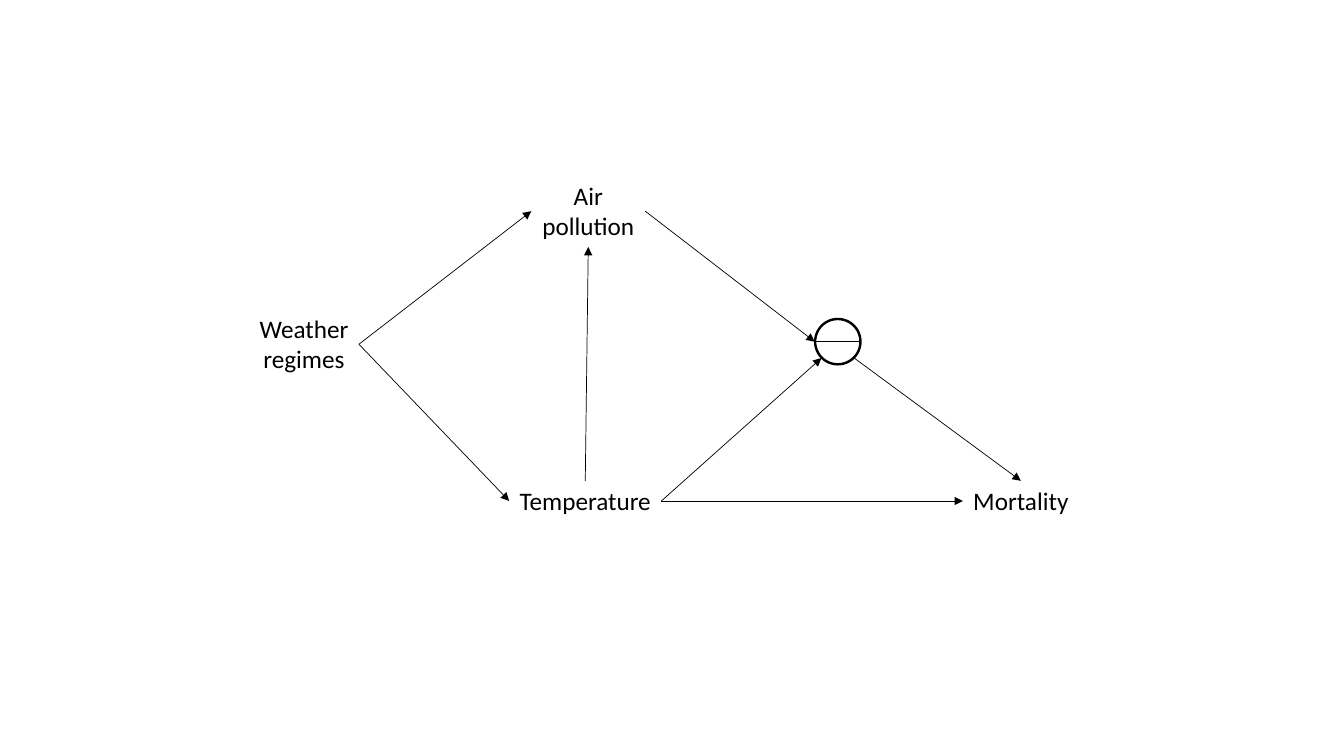
from dataclasses import dataclass
from math import sqrt

from lxml.etree import SubElement
from pptx import Presentation
from pptx.dml.color import RGBColor
from pptx.enum.shapes import MSO_CONNECTOR, MSO_SHAPE
from pptx.enum.text import MSO_ANCHOR, MSO_AUTO_SIZE, PP_ALIGN
from pptx.oxml.ns import qn
from pptx.slide import Slide
from pptx.util import Inches, Pt

COLOURS = {"ink": "000000"}
INK = RGBColor.from_string(COLOURS["ink"])
Point = tuple[float, float]


@dataclass(frozen=True)
class Node:
    """A place in the diagram, in inches, with the points arrows attach to."""

    left: float
    top: float
    width: float
    height: float
    text: str = ""

    def at(self, across: float, down: float) -> Point:
        """Give the point at these fractions of the width and height."""
        return self.left + across * self.width, self.top + down * self.height

    @property
    def box(self) -> tuple[Inches, ...]:
        """Give left, top, width and height as lengths."""
        return tuple(map(Inches, (self.left, self.top, self.width, self.height)))


@dataclass(frozen=True)
class Link:
    """A straight line between two points, with or without an arrowhead."""

    start: Point
    end: Point
    arrow: bool = True


def add_text(slide: Slide, node: Node, *, size: float = 18,
             font: str = "Calibri", colour: RGBColor = INK) -> None:
    """Write a node's lines as centred paragraphs."""
    frame = slide.shapes.add_textbox(*node.box).text_frame
    frame.word_wrap = True
    frame.auto_size = MSO_AUTO_SIZE.SHAPE_TO_FIT_TEXT
    frame.vertical_anchor = MSO_ANCHOR.TOP
    frame.text = node.text
    for paragraph in frame.paragraphs:
        paragraph.alignment = PP_ALIGN.CENTER
        for run in paragraph.runs:
            run.font.size, run.font.name = Pt(size), font
            run.font.color.rgb = colour


def add_link(slide: Slide, link: Link) -> None:
    """Draw a thin line, ending in a triangle if it is an arrow."""
    connector = slide.shapes.add_connector(
        MSO_CONNECTOR.STRAIGHT, *map(Inches, link.start + link.end))
    connector.line.color.rgb = INK
    connector.line.width = Pt(0.5)
    if link.arrow:
        SubElement(connector.line._get_or_add_ln(), qn("a:tailEnd"), type="triangle")
    SubElement(connector._element.spPr, qn("a:effectLst"))


def add_ring(slide: Slide, node: Node) -> None:
    """Draw the thin ring where two effects meet."""
    ring = slide.shapes.add_shape(MSO_SHAPE.DONUT, *node.box)
    ring.adjustments[0] = 0.022
    ring.shadow.inherit = False
    ring.fill.solid()
    ring.fill.fore_color.rgb = INK
    ring.line.color.rgb = INK
    ring.line.width = Pt(1)


weather = Node(2.47, 3.06, 1.09, 0.71, "Weather\nregimes")
pollution = Node(5.27, 1.74, 1.13, 0.71, "Air\npollution")
temperature = Node(5.05, 4.77, 1.51, 0.4, "Temperature")
mortality = Node(9.55, 4.77, 1.15, 0.4, "Mortality")
interaction = Node(8.08, 3.16, 0.46, 0.46)

LEFT, RIGHT, TOP, BOTTOM = (0, 0.5), (1, 0.5), (0.5, 0), (0.5, 1)
DIAGONAL = 0.5 + sqrt(2) / 4  # where the ring's diagonal meets its edge

links = [
    Link(weather.at(*RIGHT), pollution.at(*LEFT)),
    Link(weather.at(*RIGHT), temperature.at(*LEFT)),
    Link(temperature.at(*TOP), pollution.at(*BOTTOM)),
    Link(temperature.at(*RIGHT), interaction.at(1 - DIAGONAL, DIAGONAL)),
    Link(pollution.at(*RIGHT), interaction.at(*LEFT)),
    Link(interaction.at(*LEFT), interaction.at(*RIGHT), arrow=False),
    Link(temperature.at(*RIGHT), mortality.at(*LEFT)),
    Link(interaction.at(DIAGONAL, DIAGONAL), mortality.at(*TOP)),
]

presentation = Presentation()
presentation.slide_width = Inches(13.33)
presentation.slide_height = Inches(7.5)
diagram = presentation.slides.add_slide(presentation.slide_layouts[6])

for label in (weather, pollution, temperature, mortality):
    add_text(diagram, label)
add_ring(diagram, interaction)
for effect in links:
    add_link(diagram, effect)

presentation.save("out.pptx")
